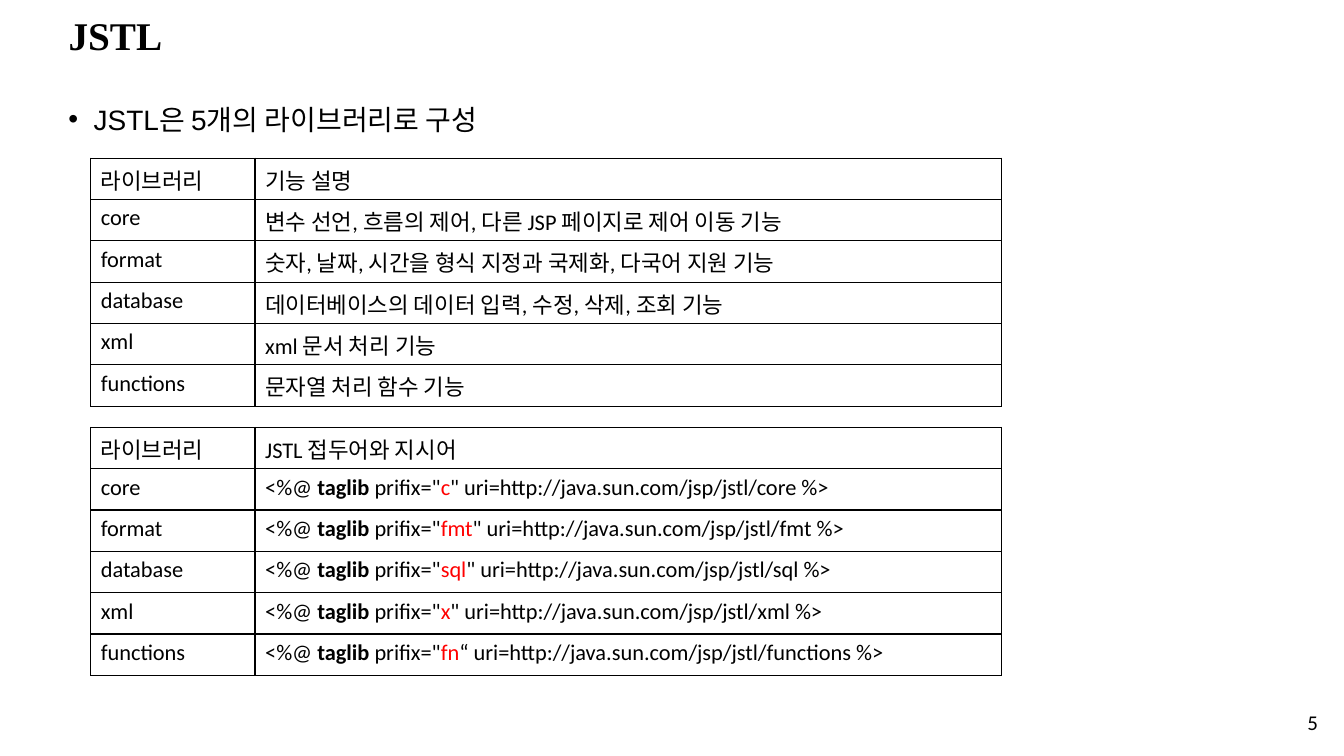
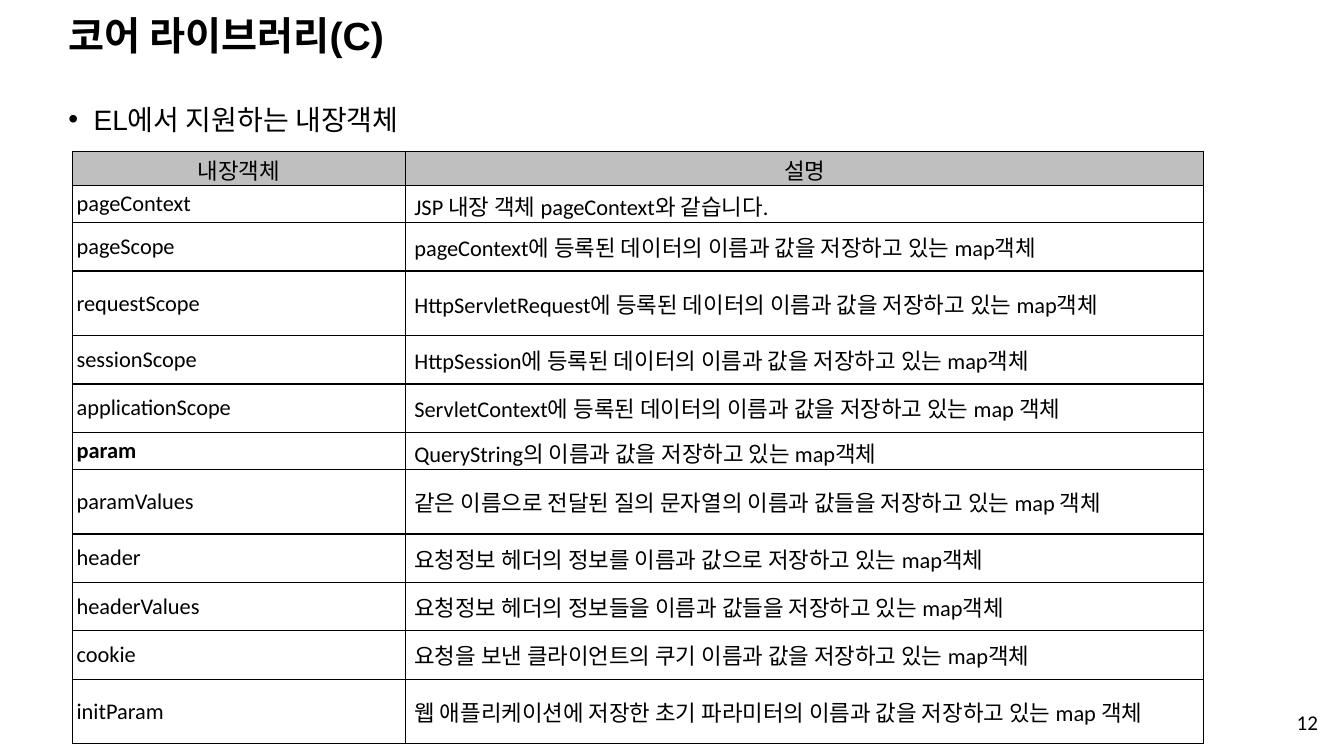
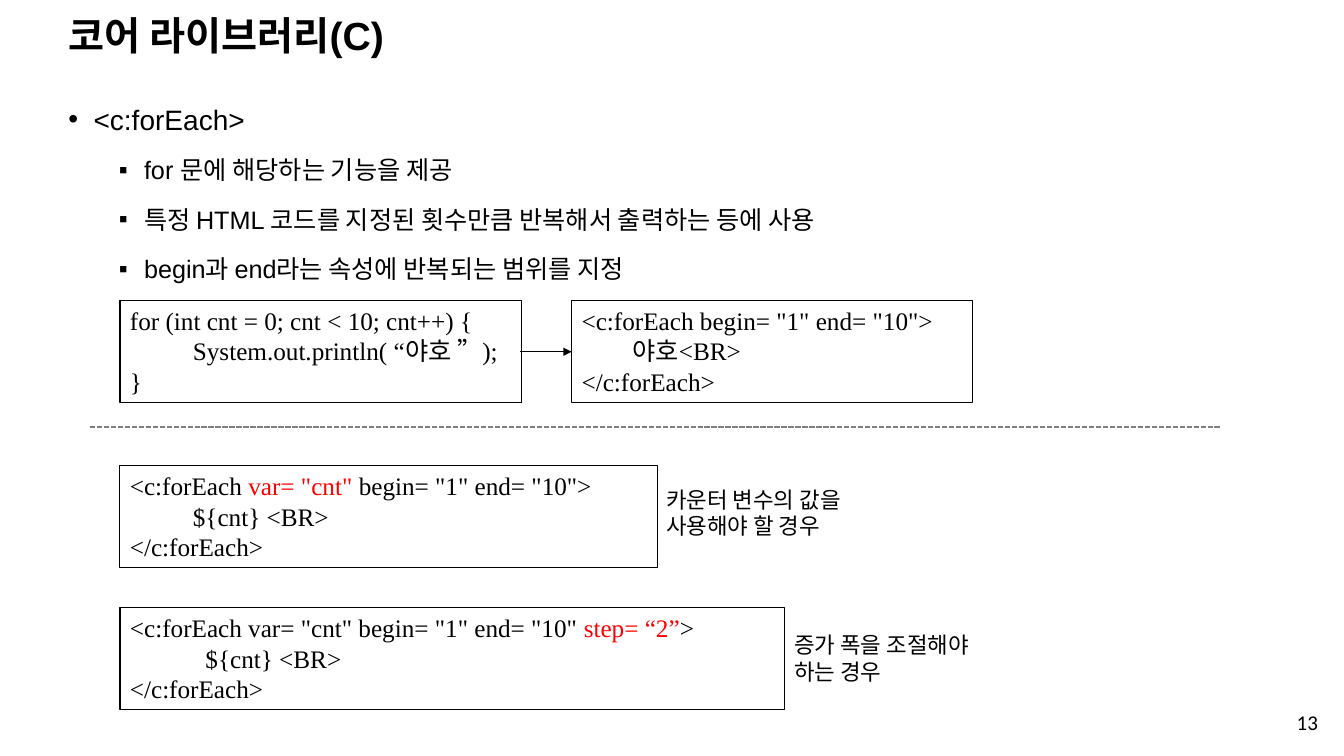
from lxml import etree
from pptx import Presentation
from pptx.dml.color import RGBColor
from pptx.enum import dml, shapes, text
from pptx.oxml import ns
from pptx.util import Inches, Pt

BLACK, WHITE, RED, GREY, HEADER = "000000", "FFFFFF", "FF0000", "808080", "BFBFBF"
SANS, TABLE_FONT, CODE_FONT = "Arial", "Calibri", "Times New Roman"
LEFT = 0.58
MIDDLE = text.MSO_ANCHOR.MIDDLE

LIBRARIES = ["core", "format", "database", "xml", "functions"]
FEATURES = [
    "변수 선언, 흐름의 제어, 다른 JSP 페이지로 제어 이동 기능",
    "숫자, 날짜, 시간을 형식 지정과 국제화, 다국어 지원 기능",
    "데이터베이스의 데이터 입력, 수정, 삭제, 조회 기능",
    "xml 문서 처리 기능",
    "문자열 처리 함수 기능",
]
DIRECTIVES = [  # prefix, closing quote, last part of the address
    ("c", '"', "core"),
    ("fmt", '"', "fmt"),
    ("sql", '"', "sql"),
    ("x", '"', "xml"),
    ("fn", "“", "functions"),
]
IMPLICIT_OBJECTS = [  # name, description, row height
    ("pageContext", "JSP 내장 객체 pageContext와 같습니다.", 0.37),
    ("pageScope", "pageContext에 등록된 데이터의 이름과 값을 저장하고 있는 map객체", 0.48),
    ("requestScope", "HttpServletRequest에 등록된 데이터의 이름과 값을 저장하고 있는 map객체", 0.64),
    ("sessionScope", "HttpSession에 등록된 데이터의 이름과 값을 저장하고 있는 map객체", 0.48),
    ("applicationScope", "ServletContext에 등록된 데이터의 이름과 값을 저장하고 있는 map 객체", 0.48),
    ([("param", {"bold": True})], "QueryString의 이름과 값을 저장하고 있는 map객체", 0.37),
    ("paramValues", "같은 이름으로 전달된 질의 문자열의 이름과 값들을 저장하고 있는 map 객체", 0.64),
    ("header", "요청정보 헤더의 정보를 이름과 값으로 저장하고 있는 map객체", 0.48),
    ("headerValues", "요청정보 헤더의 정보들을 이름과 값들을 저장하고 있는 map객체", 0.48),
    ("cookie", "요청을 보낸 클라이언트의 쿠기 이름과 값을 저장하고 있는 map객체", 0.48),
    ("initParam", "웹 애플리케이션에 저장한 초기 파라미터의 이름과 값을 저장하고 있는 map 객체", 0.64),
]


def rgb(value):
    return RGBColor.from_string(value)


def box(*lengths):
    return [Inches(n) for n in lengths]


def sub(parent, tag, **attrs):
    return etree.SubElement(parent, ns.qn(tag), **attrs)


def write(p, content, size=16, font=TABLE_FONT, color=BLACK, bold=False, align=None):
    """Fill a paragraph with a string, or with (string, overrides) runs."""
    p.alignment = align
    runs = [(content, {})] if isinstance(content, str) else content
    for words, extra in runs:
        r = p.add_run()
        r.text = words
        r.font.size = Pt(size)
        r.font.name = font
        r.font.bold = extra.get("bold", bold)
        r.font.color.rgb = rgb(extra.get("color", color))


def write_lines(tf, lines, **fmt):
    tf.word_wrap = True
    for i, line in enumerate(lines):
        write(tf.add_paragraph() if i else tf.paragraphs[0], line, **fmt)


def add_label(s, at, lines, anchor=text.MSO_ANCHOR.TOP, **fmt):
    tf = s.shapes.add_textbox(*box(*at)).text_frame
    tf.vertical_anchor = anchor
    write_lines(tf, lines, **fmt)
    return tf


def add_slide(prs, title, number, font=SANS):
    """Start a slide with its title and page number."""
    s = prs.slides.add_slide(prs.slide_layouts[5])
    sp = s.shapes.title
    sp.left, sp.top, sp.width, sp.height = box(LEFT, 0.18, 11.5, 0.38)
    tf = sp.text_frame
    tf.vertical_anchor = MIDDLE
    tf.auto_size = text.MSO_AUTO_SIZE.NONE
    write_lines(tf, [title], size=28, font=font, bold=True, align=text.PP_ALIGN.LEFT)
    tf.paragraphs[0].line_spacing = 0.9
    add_label(s, (9.42, 6.95, 3.75, 0.42), [str(number)], MIDDLE, size=15,
              align=text.PP_ALIGN.RIGHT)
    return s


def add_bullets(s, heading, details=(), width=12.51, height=6.67):
    tf = add_label(s, (LEFT, 0.83, width, height), [heading], size=20, font=SANS)
    for detail in details:
        p = tf.add_paragraph()
        p.level = 1
        p.space_before = Pt(5)
        write(p, detail, size=18, font=SANS)
    for p in tf.paragraphs:
        p.line_spacing = 1.4
        pPr = p._p.get_or_add_pPr()
        pPr.set("marL", str(Inches(0.25 + 0.5 * p.level)))
        pPr.set("indent", str(Inches(-0.25)))
        sub(pPr, "a:buFont", typeface=SANS)
        sub(pPr, "a:buChar", char="▪" if p.level else "•")


def border(cell):
    tcPr = cell._tc.get_or_add_tcPr()
    for i, side in enumerate("LRTB"):
        ln = etree.Element(ns.qn(f"a:ln{side}"), w=str(Pt(1)))
        sub(sub(ln, "a:solidFill"), "a:srgbClr", val=BLACK)
        tcPr.insert(i, ln)


def add_grid(s, left, top, widths, heights, rows):
    """Add a plain black-ruled table and return it."""
    frame = s.shapes.add_table(len(rows), len(widths),
                               *box(left, top, sum(widths), sum(heights)))
    table = frame.table
    table.first_row = table.horz_banding = False
    for column, width in zip(table.columns, widths):
        column.width = Inches(width)
    for i, (height, row) in enumerate(zip(heights, rows)):
        table.rows[i].height = Inches(height)
        for j, content in enumerate(row):
            cell = table.cell(i, j)
            cell.fill.solid()
            cell.fill.fore_color.rgb = rgb(WHITE)
            border(cell)
            write(cell.text_frame.paragraphs[0], content)
    return table


def set_margins(cell, margin, left):
    cell.vertical_anchor = MIDDLE
    cell.margin_top = cell.margin_right = cell.margin_bottom = Inches(margin)
    cell.margin_left = Inches(left)


def add_code(s, left, top, width, lines):
    sp = s.shapes.add_shape(shapes.MSO_SHAPE.RECTANGLE, *box(left, top, width, 1.01))
    sp.shadow.inherit = False
    sp.fill.background()
    sp.line.color.rgb = rgb(BLACK)
    sp.line.width = Pt(0.75)
    sp.text_frame.vertical_anchor = text.MSO_ANCHOR.TOP
    write_lines(sp.text_frame, lines, size=18, font=CODE_FONT,
                align=text.PP_ALIGN.LEFT)


def add_line(s, x1, x2, y, color, width, dash=None, arrow=False):
    line = s.shapes.add_connector(shapes.MSO_CONNECTOR.STRAIGHT, *box(x1, y, x2, y))
    line.line.color.rgb = rgb(color)
    line.line.width = Pt(width)
    if dash:
        line.line.dash_style = dash
    if arrow:
        sub(line.line._get_or_add_ln(), "a:tailEnd", type="triangle")
    sub(line._element.spPr, "a:effectLst")


def directive(prefix, quote, name):
    return [("<%@ ", {}), ("taglib ", {"bold": True}), ('prifix="', {}),
            (prefix, {"color": RED}),
            (f"{quote} uri=http://java.sun.com/jsp/jstl/{name} %>", {})]


def libraries_slide(prs):
    s = add_slide(prs, "JSTL", 5, font=CODE_FONT)
    add_bullets(s, "JSTL은 5개의 라이브러리로 구성", width=12.14, height=6.28)
    tables = [
        (1.57, "기능 설명", FEATURES),
        (4.24, "JSTL 접두어와 지시어", [directive(*d) for d in DIRECTIVES]),
    ]
    for top, heading, entries in tables:
        rows = [("라이브러리", heading), *zip(LIBRARIES, entries)]
        add_grid(s, 0.9, top, [1.63, 7.4], [0.41] * len(rows), rows)


def objects_slide(prs):
    s = add_slide(prs, "코어 라이브러리(C)", 12)
    add_bullets(s, "EL에서 지원하는 내장객체")
    rows = [("내장객체", "설명", 0.34), *IMPLICIT_OBJECTS]
    table = add_grid(s, 0.72, 1.5, [3.3, 7.92], [r[2] for r in rows],
                     [r[:2] for r in rows])
    for i in range(len(rows)):
        for j, left in enumerate((0.04, 0.09)):
            set_margins(table.cell(i, j), 0.04, left)
    for cell in table.rows[0].cells:
        set_margins(cell, 0.02, 0.02)
        cell.fill.fore_color.rgb = rgb(HEADER)
        cell.text_frame.paragraphs[0].alignment = text.PP_ALIGN.CENTER


def for_each_slide(prs):
    s = add_slide(prs, "코어 라이브러리(C)", 13)
    add_bullets(s, "<c:forEach>", [
        "for 문에 해당하는 기능을 제공",
        "특정 HTML 코드를 지정된 횟수만큼 반복해서 출력하는 등에 사용",
        "begin과 end라는 속성에 반복되는 범위를 지정",
    ])
    end, red = "</c:forEach>", {"color": RED}
    add_code(s, 1.19, 2.98, 3.98, ["for (int cnt = 0; cnt < 10; cnt++) {",
                                   "          System.out.println( “야호 ”);", "}"])
    add_code(s, 5.67, 2.98, 3.98, ['<c:forEach begin= "1" end= "10">',
                                   "         야호<BR>", end])
    add_line(s, 0.89, 12.11, 4.24, GREY, 1.25, dash=dml.MSO_LINE.SQUARE_DOT)
    add_line(s, 5.16, 5.67, 3.49, BLACK, 0.5, arrow=True)
    add_code(s, 1.19, 4.62, 5.33, [
        [("<c:forEach ", {}), ('var= "cnt" ', red), ('begin= "1" end= "10">', {})],
        "          ${cnt} <BR>", end])
    add_code(s, 1.19, 6.03, 6.59, [
        [('<c:forEach var= "cnt" begin= "1" end= "10" ', {}), ("step= “2”", red),
         (">", {})],
        "            ${cnt} <BR>", end])
    add_label(s, (6.51, 4.77, 2.23, 0.64), ["카운터 변수의 값을", "사용해야 할 경우"])
    add_label(s, (7.78, 6.21, 2.15, 0.64), ["증가 폭을 조절해야", "하는 경우"])


def main():
    prs = Presentation()
    prs.slide_width, prs.slide_height = box(13.33, 7.5)
    libraries_slide(prs)
    objects_slide(prs)
    for_each_slide(prs)
    prs.save("out.pptx")


if __name__ == "__main__":
    main()
